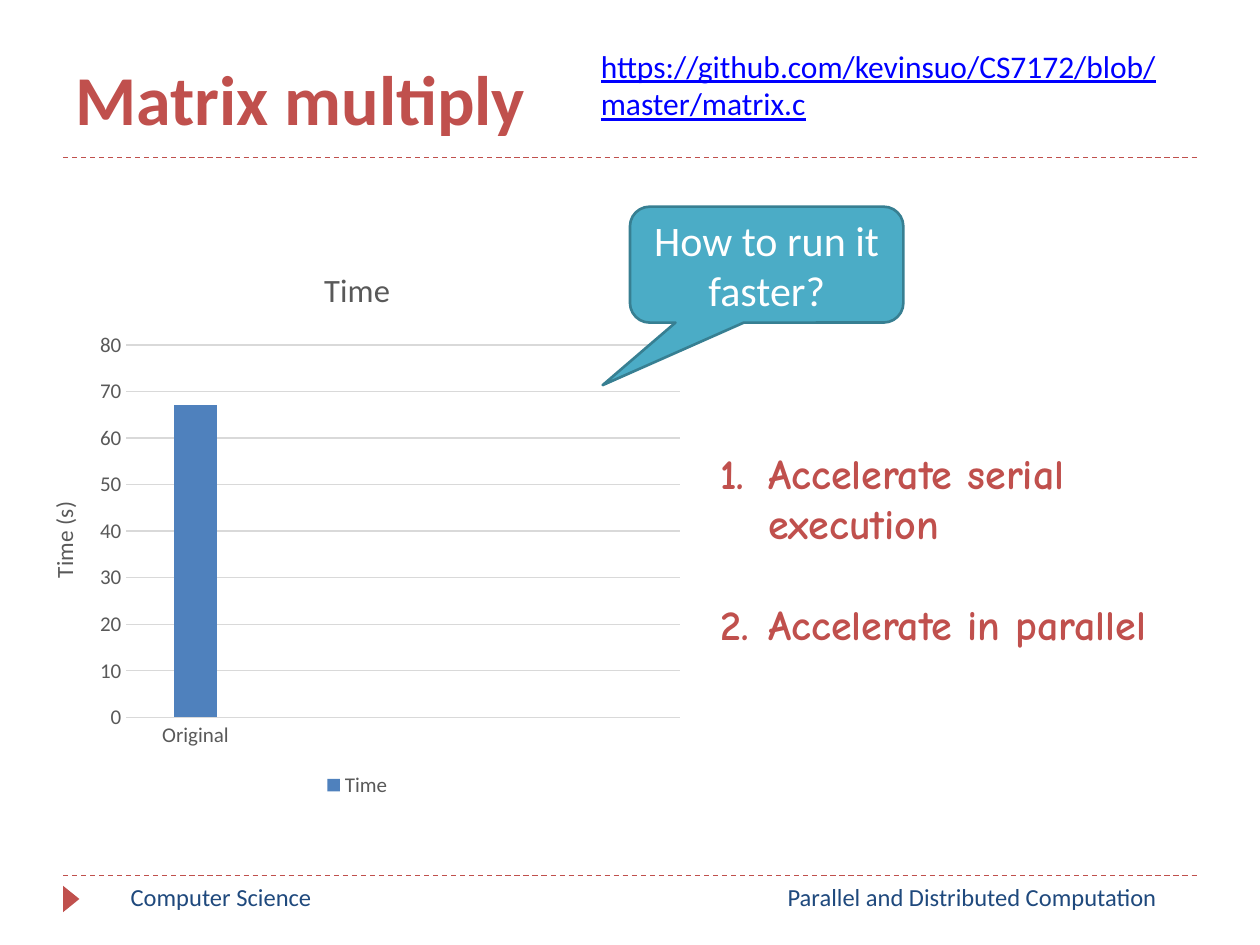
from typing import Any, NamedTuple

from lxml.etree import SubElement
from pptx import Presentation
from pptx.chart.data import CategoryChartData
from pptx.dml.color import RGBColor
from pptx.enum.chart import XL_CHART_TYPE as ChartType
from pptx.enum.chart import XL_LEGEND_POSITION as LegendPosition
from pptx.enum.chart import XL_TICK_MARK as TickMark
from pptx.enum.dml import MSO_LINE as Dash
from pptx.enum.shapes import MSO_CONNECTOR as Connector
from pptx.enum.shapes import MSO_SHAPE as Preset
from pptx.enum.text import MSO_ANCHOR as Anchor
from pptx.enum.text import MSO_AUTO_SIZE as AutoSize
from pptx.enum.text import PP_ALIGN as Align
from pptx.oxml.ns import qn
from pptx.util import Inches, Pt

WIDTH, HEIGHT = Inches(10), Inches(7.5)
COLUMN, ROW = WIDTH / 100, HEIGHT / 75
COLORS = {
    "accent": "C0504D", "footer": "1F497D", "link": "0000FF",
    "bar": "4F81BD", "grid": "D9D9D9", "label": "595959",
    "callout": "4BACC6", "callout_edge": "377F92", "white": "FFFFFF",
}
BODY_FONT, LIST_FONT = "Calibri", "Comic Neue"


class Box(NamedTuple):
    """A place on the slide in grid columns and rows."""
    column: float
    row: float
    columns: float
    rows: float

    def emu(self) -> tuple[int, ...]:
        return (round(self.column * COLUMN), round(self.row * ROW),
                round(self.columns * COLUMN), round(self.rows * ROW))


class Style(NamedTuple):
    size: float
    color: str
    name: str = BODY_FONT
    bold: bool = False
    underline: bool = False


class Label(NamedTuple):
    text: str
    box: Box
    style: Style
    align: Align = Align.LEFT


FOOTER = Style(14, "footer")
LABELS = [
    Label("Parallel and Distributed Computation", Box(59.2, 69.5, 35.9, 4),
          FOOTER, Align.CENTER),
    Label("Computer Science", Box(6.7, 69.5, 21.7, 4), FOOTER, Align.CENTER),
    Label("https://github.com/kevinsuo/CS7172/blob/master/matrix.c",
          Box(46.7, 3.2, 50, 7.1), Style(18, "link", underline=True)),
]
RULE_ROWS = (69.5, 12.5)
STEPS = ("Accelerate serial execution", "Accelerate in parallel")
AXIS_STYLE = Style(12, "label")


def rgb(key: str) -> RGBColor:
    return RGBColor.from_string(COLORS[key])


def set_all(target: Any, values: dict[str, Any]) -> None:
    for key, value in values.items():
        setattr(target, key, value)


def style_font(font: Any, style: Style) -> None:
    set_all(font, {"name": style.name, "size": Pt(style.size),
                   "bold": style.bold, "underline": style.underline})
    font.color.rgb = rgb(style.color)


def write(frame: Any, text: str, style: Style, align: Align = Align.LEFT,
          anchor: Anchor = Anchor.TOP) -> None:
    set_all(frame, {"word_wrap": True, "auto_size": AutoSize.NONE,
                    "vertical_anchor": anchor, "text": text})
    paragraph = frame.paragraphs[0]
    paragraph.alignment = align
    style_font(paragraph.runs[0].font, style)


def add_label(slide: Any, label: Label) -> None:
    frame = slide.shapes.add_textbox(*label.box.emu()).text_frame
    write(frame, label.text, label.style, label.align)


def add_rule(slide: Any, row: float) -> None:
    left, y, width, _ = Box(5, row, 90, 0).emu()
    rule = slide.shapes.add_connector(Connector.STRAIGHT, left, y, left + width, y)
    set_all(rule.line, {"width": Pt(0.75), "dash_style": Dash.DASH})
    rule.line.color.rgb = rgb("accent")
    SubElement(rule.element.spPr, qn("a:effectLst"))


def add_preset(slide: Any, preset: Preset, box: Box, fill: str) -> Any:
    shape = slide.shapes.add_shape(preset, *box.emu())
    shape.shadow.inherit = False
    shape.fill.solid()
    shape.fill.fore_color.rgb = rgb(fill)
    shape.line.fill.background()
    return shape


def add_title(slide: Any) -> None:
    title = slide.shapes.title
    places = Box(5, 0.8, 90, 10.8).emu()
    set_all(title, dict(zip(("left", "top", "width", "height"), places)))
    write(title.text_frame, "Matrix multiply", Style(40, "accent", bold=True),
          anchor=Anchor.BOTTOM)


def add_callout(slide: Any) -> None:
    callout = add_preset(slide, Preset.ROUNDED_RECTANGULAR_CALLOUT,
                         Box(50, 16.4, 21.7, 9.2), "callout")
    for index, value in enumerate((-0.6, 1.04, 0.17)):
        callout.adjustments[index] = value
    callout.line.color.rgb = rgb("callout_edge")
    callout.line.width = Pt(1.5)
    write(callout.text_frame, "How to run it faster?", Style(24, "white"),
          Align.CENTER, Anchor.MIDDLE)


def add_steps(slide: Any) -> None:
    frame = slide.shapes.add_textbox(*Box(56.2, 35, 42, 13.1).emu()).text_frame
    frame.word_wrap = True
    indent = Inches(0.38)
    for number, step in enumerate(STEPS):
        paragraph = frame.add_paragraph() if number else frame.paragraphs[0]
        properties = paragraph._p.get_or_add_pPr()
        properties.set("marL", str(indent))
        properties.set("indent", str(-indent))
        if number:
            paragraph.space_before = Pt(29)
        SubElement(properties, qn("a:buFont"), typeface="+mj-lt")
        SubElement(properties, qn("a:buAutoNum"), type="arabicPeriod")
        paragraph.text = step
        style_font(paragraph.runs[0].font, Style(24, "accent", LIST_FONT, bold=True))


def add_chart_title(holder: Any, text: str, size: float) -> None:
    """Title a chart or an axis."""
    holder.has_title = True
    frame = (holder.chart_title if hasattr(holder, "chart_title")
             else holder.axis_title).text_frame
    frame.text = text
    style_font(frame.paragraphs[0].runs[0].font, Style(size, "label"))


def add_time_chart(slide: Any) -> None:
    data = CategoryChartData()
    data.categories = ["Original", "", "", ""]
    data.add_series("Time", [67, None, None, None])
    chart = slide.shapes.add_chart(ChartType.COLUMN_CLUSTERED,
                                   *Box(1.7, 19.3, 53.3, 44.4).emu(), data).chart
    style_font(chart.font, AXIS_STYLE)
    add_chart_title(chart, "Time", 18.6)
    chart.chart_title.include_text_in_layout = False

    chart.has_legend = True
    set_all(chart.legend, {"position": LegendPosition.BOTTOM,
                           "include_in_layout": False})
    style_font(chart.legend.font, AXIS_STYLE)

    plot = chart.plots[0]
    set_all(plot, {"gap_width": 219, "overlap": -27, "vary_by_categories": False})
    bars = plot.series[0].format.fill
    bars.solid()
    bars.fore_color.rgb = rgb("bar")

    categories, seconds = chart.category_axis, chart.value_axis
    for axis in (categories, seconds):
        set_all(axis, {"major_tick_mark": TickMark.NONE,
                       "minor_tick_mark": TickMark.NONE})
        style_font(axis.tick_labels.font, AXIS_STYLE)
    set_all(seconds, {"minimum_scale": 0, "maximum_scale": 80, "major_unit": 10,
                      "has_major_gridlines": True})
    seconds.format.line.fill.background()
    for line in (categories.format.line, seconds.major_gridlines.format.line):
        line.color.rgb = rgb("grid")
        line.width = Pt(0.75)
    add_chart_title(seconds, "Time (s)", 13.3)


def main() -> None:
    deck = Presentation()
    set_all(deck, {"slide_width": WIDTH, "slide_height": HEIGHT})
    slide = deck.slides.add_slide(deck.slide_layouts[5])
    for row in RULE_ROWS:
        add_rule(slide, row)
    marker = add_preset(slide, Preset.ISOSCELES_TRIANGLE,
                        Box(4.6, 70.7, 2.1, 1.3), "accent")
    marker.rotation = 90
    add_title(slide)
    for label in LABELS:
        add_label(slide, label)
    add_time_chart(slide)
    add_callout(slide)
    add_steps(slide)
    deck.save("out.pptx")


if __name__ == "__main__":
    main()
